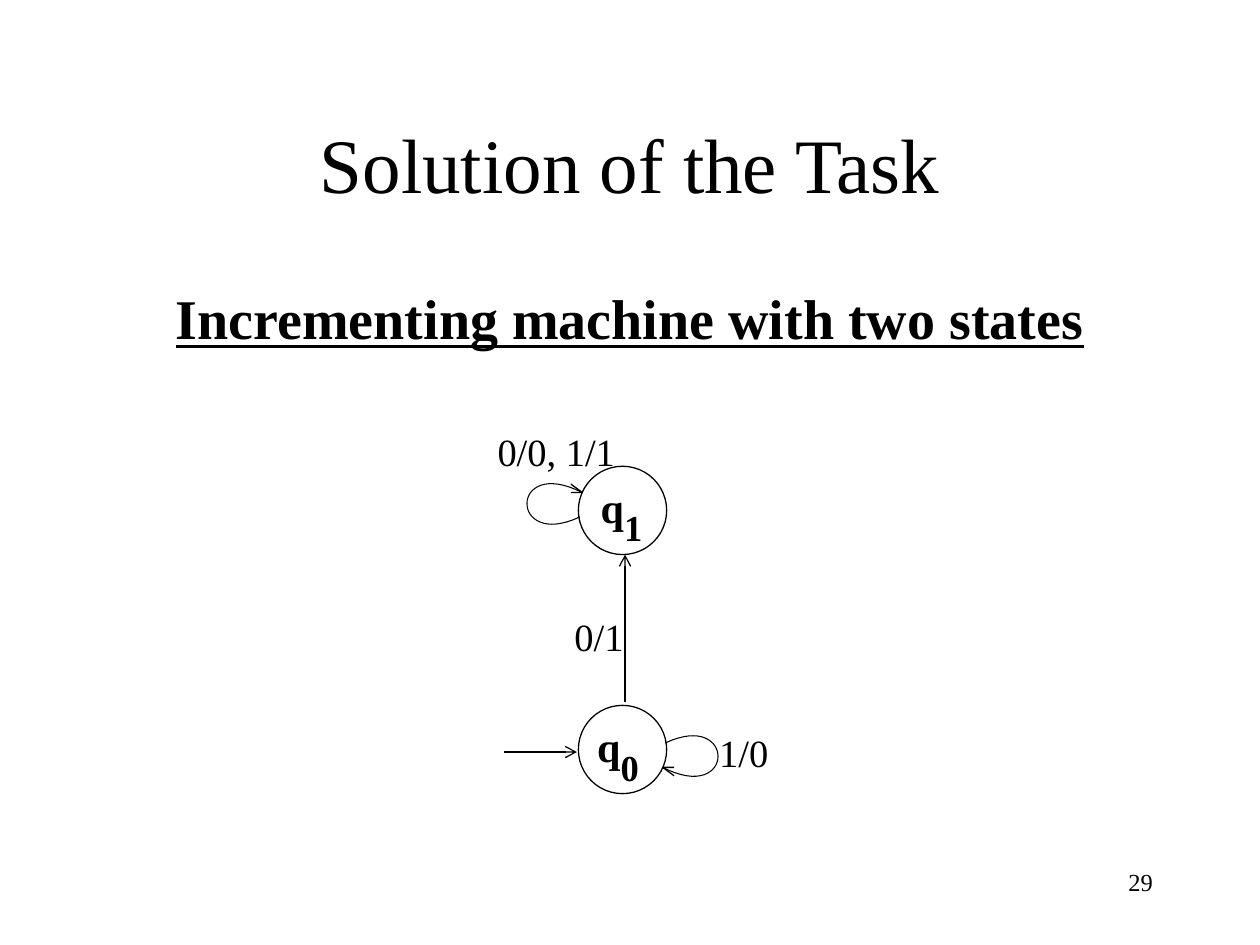
from collections import namedtuple
from dataclasses import dataclass

from lxml import etree
from pptx import Presentation
from pptx.dml.color import RGBColor
from pptx.enum.shapes import MSO_CONNECTOR, MSO_SHAPE
from pptx.enum.text import MSO_ANCHOR, PP_ALIGN
from pptx.oxml.ns import qn
from pptx.util import Cm, Pt

STRAIGHT = MSO_CONNECTOR.STRAIGHT
ELLIPSE = MSO_SHAPE.OVAL
LEFT, CENTER, RIGHT = PP_ALIGN.LEFT, PP_ALIGN.CENTER, PP_ALIGN.RIGHT
TOP, MIDDLE = MSO_ANCHOR.TOP, MSO_ANCHOR.MIDDLE

Box = namedtuple("Box", "left top width height")


@dataclass(frozen=True)
class Theme:
    font: str = "Times New Roman"
    ink: RGBColor = RGBColor(0, 0, 0)
    paper: RGBColor = RGBColor(255, 255, 255)
    title: float = 44
    subtitle: float = 32
    state: float = 24
    subscript: float = 36
    label: float = 22
    number: float = 14
    line: float = 0.75
    loop: float = 0.6


THEME = Theme()
RADIUS = 0.89
LOOP_CURVE = ((0.86, -0.13), (2.29, -0.81), (2.29, 1.12), (0.81, 0.36))
LOOP_HEAD = ((1.04, 0.53), (0.81, 0.36), (1.04, 0.36))
CURVE_STEPS = 32


def add_text(slide, box, text, size, align=LEFT, anchor=TOP,
             bold=False, underline=False, subscript=""):
    shape = slide.shapes.add_textbox(*(Cm(value) for value in box))
    frame = shape.text_frame
    frame.word_wrap = True
    frame.vertical_anchor = anchor
    paragraph = frame.paragraphs[0]
    paragraph.alignment = align
    for content, points, baseline in ((text, size, None),
                                      (subscript, THEME.subscript, "-30000")):
        if not content:
            continue
        run = paragraph.add_run()
        run.text = content
        run.font.name = THEME.font
        run.font.size = Pt(points)
        run.font.bold = bold
        run.font.underline = underline
        run.font.color.rgb = THEME.ink
        if baseline:
            run.font._element.set("baseline", baseline)


def style_line(shape, width):
    shape.line.color.rgb = THEME.ink
    shape.line.width = Pt(width)


def add_arrow(slide, start, end):
    connector = slide.shapes.add_connector(
        STRAIGHT, *(Cm(value) for value in (*start, *end)))
    style_line(connector, THEME.line)
    properties = connector._element.spPr
    etree.SubElement(connector.line._get_or_add_ln(), qn("a:tailEnd"), type="arrow")
    etree.SubElement(properties, qn("a:effectLst"))


def add_outline(slide, points, width):
    points = [(Cm(x), Cm(y)) for x, y in points]
    builder = slide.shapes.build_freeform(*points[0])
    builder.add_line_segments(points[1:], close=False)
    shape = builder.convert_to_shape()
    shape.fill.background()
    shape.shadow.inherit = False
    style_line(shape, width)


def curve_point(controls, t):
    weights = ((1 - t) ** 3, 3 * t * (1 - t) ** 2, 3 * t ** 2 * (1 - t), t ** 3)
    return tuple(sum(weight * point[axis] for weight, point in zip(weights, controls))
                 for axis in (0, 1))


def add_loop(slide, center, side):
    curve = [curve_point(LOOP_CURVE, step / CURVE_STEPS)
             for step in range(CURVE_STEPS + 1)]
    for offsets, width in ((curve, THEME.loop), (LOOP_HEAD, THEME.line)):
        points = [(center[0] + side * x, center[1] + side * y) for x, y in offsets]
        add_outline(slide, points, width)


def add_state(slide, center, index, text_shift, loop_side):
    x, y = center
    circle = slide.shapes.add_shape(
        ELLIPSE, Cm(x - RADIUS), Cm(y - RADIUS), Cm(2 * RADIUS), Cm(2 * RADIUS))
    circle.shadow.inherit = False
    circle.fill.solid()
    circle.fill.fore_color.rgb = THEME.paper
    style_line(circle, THEME.line)
    add_loop(slide, center, loop_side)
    add_text(slide, Box(x + text_shift, y - 1.14, 2.44, 1.14), "q", THEME.state,
             bold=True, subscript=index)


def add_heading(slide, box):
    add_text(slide, Box(box.left, box.top, box.width, 3.18), "Solution of the Task",
             THEME.title, align=CENTER, anchor=MIDDLE)
    add_text(slide, Box(box.left, box.top + 3.9, box.width, 1.6),
             "Incrementing machine with two states", THEME.subtitle,
             align=CENTER, bold=True, underline=True)


def add_machine(slide, box):
    left, top = box.left, box.top
    center_x = left + 2.77
    upper, lower = (center_x, top + 1.78), (center_x, top + 6.6)
    add_state(slide, lower, "0", -0.76, 1)
    add_state(slide, upper, "1", -0.69, -1)
    add_arrow(slide, (center_x + 0.05, lower[1] - 0.96),
              (center_x + 0.05, upper[1] + RADIUS))
    add_arrow(slide, (left + 0.38, lower[1] + 0.05),
              (center_x - RADIUS - 0.03, lower[1] + 0.05))
    for text, x, y, width in (("0/0, 1/1", 0, 0, 2.97),
                              ("0/1", 1.55, 3.73, 2.57),
                              ("1/0", 4.47, 6.07, 2.57)):
        add_text(slide, Box(left + x, top + y, width, 1.04), text, THEME.label)


def main():
    presentation = Presentation()
    presentation.slide_width, presentation.slide_height = Cm(25.4), Cm(19.05)
    slide = presentation.slides.add_slide(presentation.slide_layouts[6])
    add_heading(slide, Box(1.9, 1.7, 21.6, 5.5))
    add_machine(slide, Box(9.78, 8.51, 7.04, 7.49))
    add_text(slide, Box(18.21, 17.35, 5.28, 1.27), "29", THEME.number, align=RIGHT)
    presentation.save("out.pptx")


if __name__ == "__main__":
    main()
